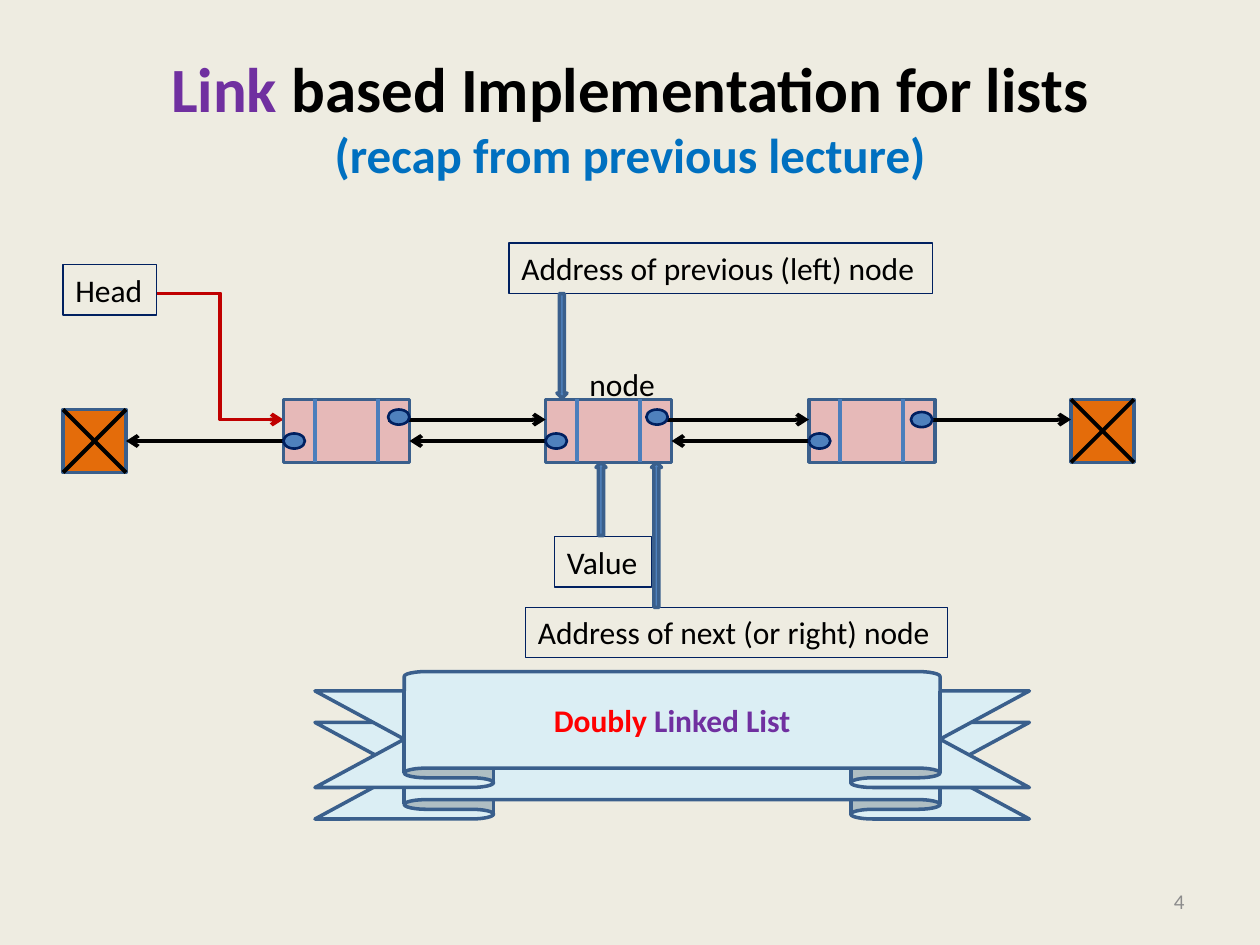
"""Build the slide on the link based implementation of a doubly linked list."""
import pptx
import pptx.dml.color
import pptx.enum.shapes
import pptx.enum.text
import pptx.oxml.ns
import pptx.oxml.xmlchemy
import pptx.util
from pptx.util import Inches

SHAPE = pptx.enum.shapes.MSO_SHAPE
CONNECTOR = pptx.enum.shapes.MSO_CONNECTOR
ALIGN = pptx.enum.text.PP_ALIGN
ANCHOR = pptx.enum.text.MSO_ANCHOR

COLORS = {
    "background": "EEECE1", "black": "000000", "purple": "7030A0",
    "sky": "0070C0", "gray": "8C8C8C", "crimson": "C00000", "red": "FF0000",
    "navy": "002060", "blue": "4F81BD", "outline": "3A5F8C",
    "divider": "4B7EBC", "pink": "E6B9B8", "orange": "E46C0A",
    "ice": "DBEEF4",
}
FONT = "Calibri"
NODE_TOP, NODE_WIDTH, NODE_HEIGHT = 3.17, 1, 0.5
NEXT_Y, PREVIOUS_Y = 3.33, 3.5
DOT_WIDTH, DOT_HEIGHT = 0.17, 0.12
NULL_SIZE = 0.5


def rgb(name):
    return pptx.dml.color.RGBColor.from_string(COLORS[name])


def set_font(font, size, color, bold=False):
    font.name = FONT
    font.size = pptx.util.Pt(size)
    font.bold = bold
    font.color.rgb = rgb(color)


def add_span(para, text, size, color):
    span = para.add_run()
    span.text = text
    set_font(span.font, size, color, bold=True)


def add_box(page, kind, left, top, width, height, fill, line="outline", weight=2):
    box = page.shapes.add_shape(
        kind, Inches(left), Inches(top), Inches(width), Inches(height))
    box.shadow.inherit = False
    if fill:
        box.fill.solid()
        box.fill.fore_color.rgb = rgb(fill)
    else:
        box.fill.background()
    box.line.color.rgb = rgb(line)
    box.line.width = pptx.util.Pt(weight)
    return box


def add_line(page, start, end, color="black", arrow=False, kind=CONNECTOR.STRAIGHT):
    line = page.shapes.add_connector(
        kind, *(Inches(value) for value in (*start, *end)))
    line.line.color.rgb = rgb(color)
    line.line.width = pptx.util.Pt(2.25)
    properties = line.element.spPr
    if arrow:
        tail = pptx.oxml.xmlchemy.OxmlElement("a:tailEnd")
        tail.set("type", "arrow")
        properties.find(pptx.oxml.ns.qn("a:ln")).append(tail)
    properties.append(pptx.oxml.xmlchemy.OxmlElement("a:effectLst"))
    return line


def write_text(box, text, size=18, color="black", align=ALIGN.LEFT, anchor=ANCHOR.TOP):
    frame = box.text_frame
    frame.word_wrap = False
    frame.vertical_anchor = anchor
    para = frame.paragraphs[0]
    para.text = text
    para.alignment = align
    set_font(para.font, size, color)


def add_text(page, text, left, top, width, height, **style):
    box = page.shapes.add_textbox(
        Inches(left), Inches(top), Inches(width), Inches(height))
    write_text(box, text, **style)
    if style:
        box.text_frame.word_wrap = True


def add_label(page, text, left, top, width):
    box = add_box(page, SHAPE.RECTANGLE, left, top, width, 0.4, None, "navy", 0.75)
    write_text(box, text)


def add_title(page):
    title = page.shapes.title
    title.left, title.top = Inches(0.5), Inches(0.3)
    title.width, title.height = Inches(9), Inches(1.25)
    title.text_frame.vertical_anchor = ANCHOR.MIDDLE
    para = title.text_frame.paragraphs[0]
    para.alignment = ALIGN.CENTER
    add_span(para, "Link ", 36, "purple")
    add_span(para, "based Implementation for lists", 36, "black")
    para.add_line_break()
    add_span(para, "(recap from previous lecture)", 28, "sky")


def add_null(page, left, top):
    box = add_box(page, SHAPE.RECTANGLE, left, top, NULL_SIZE, NULL_SIZE, "orange")
    right, bottom = left + NULL_SIZE, top + NULL_SIZE
    add_line(page, (left, top), (right, bottom))
    add_line(page, (right, top), (left, bottom))
    return box


def add_node(page, left):
    add_box(page, SHAPE.RECTANGLE, left, NODE_TOP, NODE_WIDTH, NODE_HEIGHT, "pink")
    for offset in (0.25, 0.75):
        add_line(page, (left + offset, NODE_TOP),
                 (left + offset, NODE_TOP + NODE_HEIGHT), "divider")


def add_link(page, start, end, dot_left, dot_top):
    line = add_line(page, start, end, arrow=True)
    add_box(page, SHAPE.OVAL, dot_left, dot_top, DOT_WIDTH, DOT_HEIGHT,
            "blue", "navy", 1.5)
    return line


def add_ribbon(page, top):
    ribbon = add_box(page, SHAPE.UP_RIBBON, 2.5, top, 5.67, 0.92, "ice")
    ribbon.adjustments[0] = 0.167
    ribbon.adjustments[1] = 0.75
    return ribbon


def add_list_diagram(page):
    left_null = add_null(page, 0.5, 3.25)
    add_null(page, 8.5, NODE_TOP)
    nodes = (2.25, 4.33, 6.42)
    for left in nodes:
        add_node(page, left)

    next_links = ((3.08, 4.33, 3.08, 3.25), (5.25, 6.42, 5.13, 3.25),
                  (7.25, 8.5, 7.23, 3.27))
    for start, end, dot_left, dot_top in next_links:
        add_link(page, (start, NEXT_Y), (end, NEXT_Y), dot_left, dot_top)

    previous_ends = (1, nodes[0] + NODE_WIDTH, nodes[1] + NODE_WIDTH)
    previous_links = [
        add_link(page, (left + 0.06, PREVIOUS_Y), (end, PREVIOUS_Y), left, 3.44)
        for left, end in zip(nodes, previous_ends)]
    previous_links[0].end_connect(left_null, 3)


def add_labels(page):
    add_line(page, (1.25, 2.33), (2.25, NEXT_Y), "crimson", True, CONNECTOR.ELBOW)
    for text, left, top, width in (
            ("Head", 0.5, 2.1, 0.74),
            ("Value", 4.4, 4.26, 0.77),
            ("Address of next (or right) node", 4.17, 4.82, 3.35),
            ("Address of previous (left) node", 4.04, 1.93, 3.36)):
        add_label(page, text, left, top, width)
    for kind, left, top, height in (
            (SHAPE.UP_ARROW, 4.73, 3.67, 0.58),
            (SHAPE.UP_ARROW, 5.17, 3.67, 1.15),
            (SHAPE.DOWN_ARROW, 4.42, 2.33, 0.83)):
        add_box(page, kind, left, top, 0.08, height, "blue")
    add_text(page, "node", 4.58, 2.85, 0.73, 0.4)


def main():
    deck = pptx.Presentation()
    deck.slide_width, deck.slide_height = Inches(10), Inches(7.5)
    page = deck.slides.add_slide(deck.slide_layouts[5])
    page.background.fill.solid()
    page.background.fill.fore_color.rgb = rgb("background")

    add_title(page)
    add_text(page, "4", 7.17, 6.95, 2.33, 0.4, size=12, color="gray",
             align=ALIGN.RIGHT, anchor=ANCHOR.MIDDLE)
    add_labels(page)
    add_list_diagram(page)

    add_ribbon(page, 5.58)
    banner = add_ribbon(page, 5.33)
    banner.text_frame.vertical_anchor = ANCHOR.MIDDLE
    para = banner.text_frame.paragraphs[0]
    para.alignment = ALIGN.CENTER
    add_span(para, "Doubly ", 18, "red")
    add_span(para, "Linked List", 18, "purple")
    deck.save("out.pptx")


if __name__ == "__main__":
    main()
